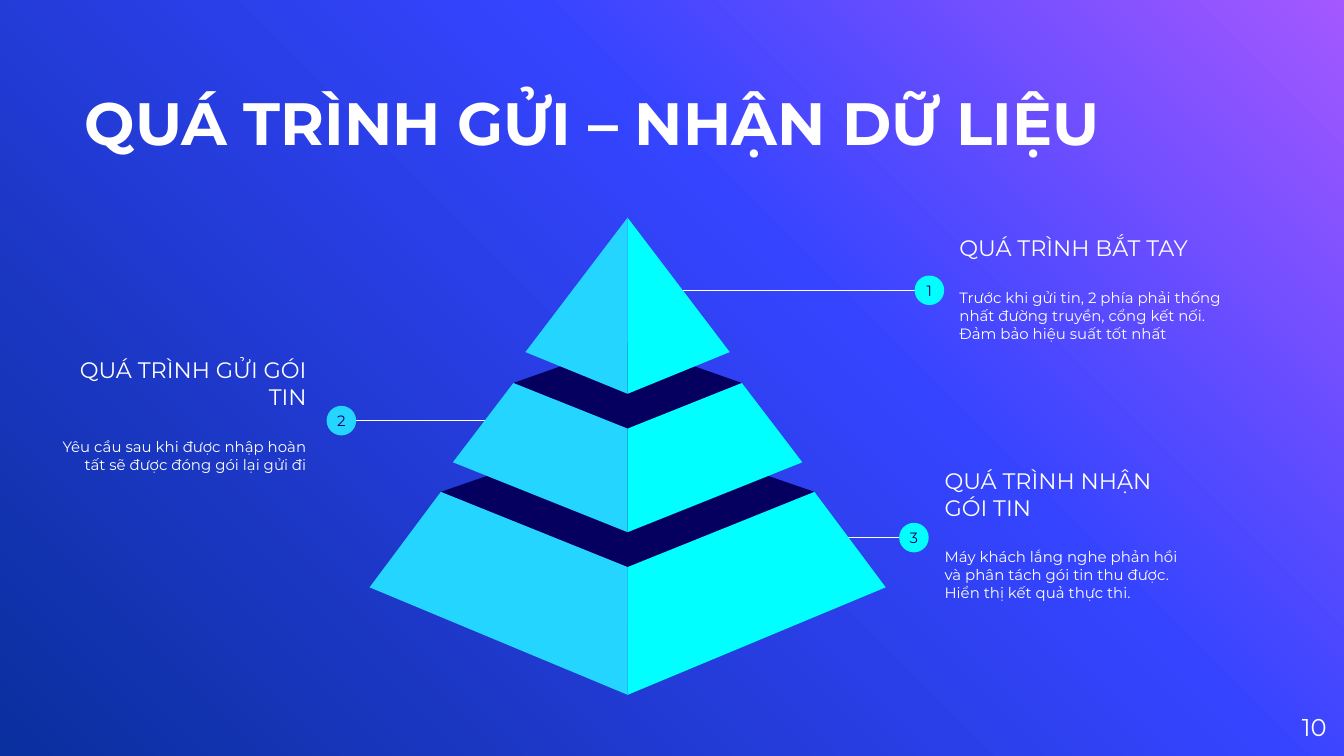
from copy import deepcopy
from lxml.etree import SubElement
from pptx import Presentation
from pptx.dml.color import RGBColor
from pptx.enum.shapes import MSO_CONNECTOR, MSO_SHAPE
from pptx.enum.text import MSO_ANCHOR, PP_ALIGN
from pptx.oxml.ns import qn
from pptx.util import Inches, Pt

FONT = "Montserrat"
COLORS = {"white": "FFFFFF", "navy": "050060", "sky": "24D6FF", "cyan": "00FFFF"}
GRADIENT = [(0, "A458FF"), (0.39, "3544FF"), (1, "0A2F9E")]
TITLE = "QUÁ TRÌNH GỬI – NHẬN DỮ LIỆU"
PAGE = "10"
CALLOUTS = [
    dict(number="1", head="QUÁ TRÌNH BẮT TAY",
         body="Trước khi gửi tin, 2 phía phải thống nhất đường truyền, cổng kết nối. "
              "Đảm bảo hiệu suất tốt nhất",
         box=(70.4, 24.71, 21.7), badge=(69.15, 38.4), edge=50.3,
         color="cyan", align=PP_ALIGN.LEFT),
    dict(number="2", head="QUÁ TRÌNH GỬI GÓI TIN",
         body="Yêu cầu sau khi được nhập hoàn tất sẽ được đóng gói lại gửi đi",
         box=(2.4, 41.42, 21.4), badge=(25.4, 55.64), edge=36.4,
         color="sky", align=PP_ALIGN.RIGHT),
    dict(number="3", head="QUÁ TRÌNH NHẬN GÓI TIN",
         body="Máy khách lắng nghe phản hồi và phân tách gói tin thu được. "
              "Hiển thị kết quả thực thi.",
         box=(69.3, 57.24, 20.4), badge=(68, 71.11), edge=62.7,
         color="cyan", align=PP_ALIGN.LEFT),
]
AXIS = 46.7
TIERS = [
    dict(top=(13.9, 65.07, 75.02), base=(19.2, 77.69, 91.91), back=56.53),
    dict(top=(8.5, 50.67, 56.71), base=(13, 61.16, 70.4), back=45.33),
    dict(top=(0, 28.8, 28.8), base=(7.6, 46.58, 52.09), back=None),
]
CALLOUT_H = 26.84
BADGE_W, BADGE_H = 2.2, 3.91

prs = Presentation()
prs.slide_width, prs.slide_height = Inches(10), Inches(5.625)
s = prs.slides.add_slide(prs.slide_layouts[6])


def px(share):
    return round(prs.slide_width * share / 100)


def py(share):
    return round(prs.slide_height * share / 100)


def rgb(name):
    return RGBColor.from_string(COLORS[name])


def paint(sp, color):
    sp.shadow.inherit = False
    sp.fill.solid()
    sp.fill.fore_color.rgb = rgb(color)
    sp.line.fill.background()


def write(sp, *texts, sizes, color="white", bold=False, align=PP_ALIGN.LEFT,
          anchor=MSO_ANCHOR.MIDDLE, inset=0, gap=0):
    tf = sp.text_frame
    tf.word_wrap = True
    tf.vertical_anchor = anchor
    tf.margin_left = tf.margin_right = tf.margin_top = tf.margin_bottom = Inches(inset)
    for i, (text, size) in enumerate(zip(texts, sizes)):
        p = tf.add_paragraph() if i else tf.paragraphs[0]
        p.alignment = align
        if i:
            p.space_before = Pt(gap)
        r = p.add_run()
        r.text = text
        r.font.name, r.font.size, r.font.bold = FONT, Pt(size), bold
        r.font.color.rgb = rgb(color)


def add_text(x, y, w, h, *texts, **style):
    write(s.shapes.add_textbox(px(x), py(y), px(w), py(h)), *texts, **style)


def add_face(points, color):
    corners = [(px(x), py(y)) for x, y in points]
    builder = s.shapes.build_freeform(*corners[0], scale=1.0)
    builder.add_line_segments(corners[1:], close=True)
    paint(builder.convert_to_shape(), color)


def add_tier(top, base, back):
    top_half, top_side, top_front = top
    base_half, base_side, base_front = base
    if back:
        add_face([(AXIS - top_half, top_side), (AXIS, top_front),
                  (AXIS + top_half, top_side), (AXIS, back)], "navy")
    for side, color in ((-1, "sky"), (1, "cyan")):
        face = [(AXIS + side * top_half, top_side),
                (AXIS + side * base_half, base_side), (AXIS, base_front)]
        if top_half:
            face.append((AXIS, top_front))
        add_face(face, color)


def add_callout(number, head, body, box, badge, edge, color, align):
    x, y = badge
    line = s.shapes.add_connector(MSO_CONNECTOR.STRAIGHT, px(edge), py(y), px(x), py(y))
    line.line.color.rgb = rgb("white")
    line.line.width = Pt(0.75)
    SubElement(line._element.spPr, qn("a:effectLst"))
    dot = s.shapes.add_shape(MSO_SHAPE.OVAL, px(x - BADGE_W / 2), py(y - BADGE_H / 2),
                             px(BADGE_W), py(BADGE_H))
    paint(dot, color)
    write(dot, number, sizes=[8], color="navy", align=PP_ALIGN.CENTER)
    add_text(*box, CALLOUT_H, head, body, sizes=[12, 8], align=align, inset=0.1, gap=14.6)


fill = s.background.fill
fill.gradient()
fill.gradient_angle = 225
stops = s._element.find(".//" + qn("a:gsLst"))
stops.append(deepcopy(stops[0]))
for stop, (position, color) in zip(fill.gradient_stops, GRADIENT):
    stop.position = position
    stop.color.rgb = RGBColor.from_string(color)

add_text(6.3, 4.09, 77.3, 16.71, TITLE, sizes=[32], bold=True, anchor=MSO_ANCHOR.BOTTOM)
add_text(92.7, 92.27, 6, 7.64, PAGE, sizes=[13], align=PP_ALIGN.RIGHT)
for callout in CALLOUTS:
    add_callout(**callout)
for tier in TIERS:
    add_tier(**tier)

prs.save("out.pptx")
